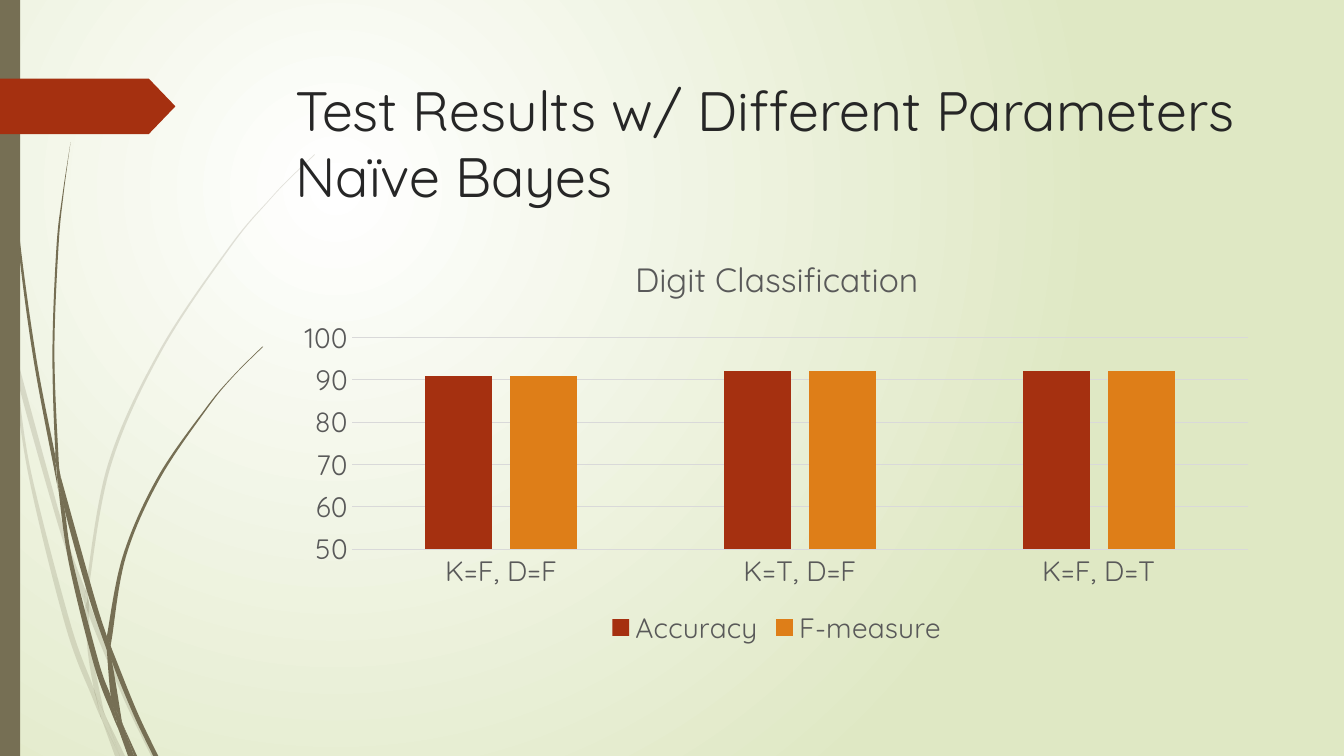
from lxml import etree
from pptx import Presentation
from pptx.chart.data import CategoryChartData
from pptx.dml.color import RGBColor
from pptx.enum.chart import XL_CHART_TYPE, XL_LEGEND_POSITION, XL_TICK_MARK
from pptx.enum.shapes import MSO_SHAPE
from pptx.enum.text import MSO_ANCHOR
from pptx.oxml.ns import qn
from pptx.util import Inches, Pt

COLUMNS = XL_CHART_TYPE.COLUMN_CLUSTERED
BOTTOM = XL_LEGEND_POSITION.BOTTOM
NO_TICK = XL_TICK_MARK.NONE
RECTANGLE, PENTAGON = MSO_SHAPE.RECTANGLE, MSO_SHAPE.PENTAGON
TOP = MSO_ANCHOR.TOP


class Theme:
    """Colours, font and type sizes of the slide."""
    font = "Quicksand"
    olive, rust, orange = "766F54", "A53010", "DE7E18"
    ink, grey, rule = "262626", "595959", "D9D9D9"
    glow, meadow = "FFFFFF", "DFE8C4"
    title, chart_title, label = 39.6, 24, 20


FAINT_BLADES = [
    ([(0.11, 3.5), (0.09, 3.22), (0, 2.82)], [(0, 2.99), (0.1, 3.44), (0.11, 3.5)]),
    ([(0.14, 3.45), (0.17, 3.76), (0.58, 5.22), (0.84, 5.99)],
     [(0.85, 5.86), (0.62, 5.2), (0.14, 3.45)]),
    ([(0.88, 5.96), (0.88, 6.1), (1.23, 6.94), (1.5, 7.5)],
     [(1.55, 7.5), (1.27, 6.92), (0.92, 6.07), (0.88, 5.96)]),
    ([(1.05, 7.11), (1.19, 7.5)], [(1.24, 7.5), (1.05, 7.11)]),
    ([(0.11, 3.5), (0.28, 4.7), (0.65, 6.21), (0.92, 6.93), (1.01, 7.14)],
     [(0.99, 7.07), (0.93, 6.83), (0.7, 6.19), (0.31, 4.69), (0.17, 3.76), (0.11, 3.5)]),
    ([(0.84, 5.99), (0.87, 6.46), (0.93, 6.83), (0.96, 6.92), (1.05, 7.11)],
     [(1.03, 7.06), (0.91, 6.46), (0.88, 6.1), (0.84, 5.99)]),
    ([(3.12, 1.53), (2.89, 1.75), (2.68, 1.97), (2.28, 2.44), (1.58, 3.48), (1.07, 4.61),
      (0.85, 5.84), (0.85, 5.86)],
     [(0.88, 5.96), (0.88, 5.84), (1.1, 4.62), (1.6, 3.49), (2.29, 2.45), (2.68, 1.98),
      (2.9, 1.75), (3.12, 1.54)]),
    ([(1.01, 7.14), (1.14, 7.5)], [(1.19, 7.5), (1.01, 7.14)]),
    ([(0.88, 6.1), (0.88, 5.96), (0.85, 5.86)], [(0.84, 5.99), (0.88, 6.08)]),
    ([(0.93, 6.83), (0.99, 7.07), (1.01, 7.14), (1.19, 7.5)],
     [(1.19, 7.5), (1.05, 7.11), (0.96, 6.92), (0.93, 6.83)]),
]
SOLID_BLADES = [
    ([(0.03, 0), (0.04, 0.48), (0.07, 1.1), (0.17, 2.33), (0.33, 3.55), (0.56, 4.77), (0.57, 4.81)],
     [(0.55, 4.57), (0.55, 4.53), (0.36, 3.55), (0.19, 2.32), (0.08, 1.09), (0.05, 0.48), (0.04, 0)]),
    ([(0.6, 4.72), (0.64, 5.05), (0.88, 5.92), (1.06, 6.45)],
     [(1.06, 6.31), (0.93, 5.9), (0.6, 4.72)]),
    ([(1.1, 6.41), (1.11, 6.56), (1.32, 7.08), (1.52, 7.5)],
     [(1.57, 7.5), (1.36, 7.06), (1.13, 6.49), (1.1, 6.41)]),
    ([(0.57, 4.77), (0.68, 5.57), (0.93, 6.59), (1.11, 7.08), (1.17, 7.22)],
     [(1.16, 7.17), (1.1, 6.91), (0.98, 6.57), (0.72, 5.56), (0.64, 5.05), (0.57, 4.77)]),
    ([(0.7, 1.41), (0.62, 1.93), (0.56, 2.45), (0.52, 3.49), (0.55, 4.49), (0.6, 4.72)],
     [(0.6, 4.72), (0.58, 4.53), (0.54, 3.49), (0.58, 2.45), (0.63, 1.93), (0.7, 1.41)]),
    ([(1.22, 7.19), (1.33, 7.5)], [(1.36, 7.5), (1.22, 7.19)]),
    ([(0.57, 4.77), (0.64, 5.05)], [(0.6, 4.72), (0.55, 4.49), (0.55, 4.53), (0.57, 4.77)]),
    ([(2.6, 3.44), (2.31, 3.73), (2.04, 4.05), (1.56, 4.74), (1.22, 5.51), (1.06, 6.31)],
     [(1.1, 6.41), (1.11, 6.33), (1.25, 5.52), (1.58, 4.76), (2.05, 4.06), (2.31, 3.74), (2.61, 3.44)]),
    ([(1.17, 7.22), (1.27, 7.5)], [(1.31, 7.5), (1.17, 7.22)]),
    ([(1.06, 6.45), (1.1, 6.91), (1.16, 7.06), (1.22, 7.19)],
     [(1.21, 7.16), (1.11, 6.56), (1.06, 6.45)]),
    ([(1.06, 6.45), (1.11, 6.56)], [(1.1, 6.41), (1.06, 6.31), (1.06, 6.45)]),
    ([(1.1, 6.91), (1.16, 7.17), (1.17, 7.22), (1.3, 7.5)],
     [(1.33, 7.5), (1.22, 7.19), (1.16, 7.06), (1.1, 6.91)]),
]


def curves(knots):
    """Yield the three Bezier points of each smooth step between knots."""
    padded = [knots[0], *knots, knots[-1]]
    for a, b, c, d in zip(padded, padded[1:], padded[2:], padded[3:]):
        yield (tuple(q + (r - p) / 6 for p, q, r in zip(a, b, c)),
               tuple(r - (s - q) / 6 for q, r, s in zip(b, c, d)), c)


class SlideBuilder:
    """Draws styled elements on the current slide."""

    def __init__(self, slide, theme):
        self.slide, self.theme = slide, theme

    def style_font(self, font, size, color):
        for name, value in {"name": self.theme.font, "size": Pt(size), "bold": False}.items():
            setattr(font, name, value)
        font.color.rgb = RGBColor.from_string(color)

    def paint(self, shape, color, opacity=100):
        shape.shadow.inherit = False
        shape.fill.solid()
        shape.fill.fore_color.rgb = RGBColor.from_string(color)
        shape.line.fill.background()
        if opacity < 100:
            tint = shape.element.spPr.find(".//" + qn("a:srgbClr"))
            etree.SubElement(tint, qn("a:alpha"), val=str(opacity * 1000))

    def background(self, center, edge):
        fill = self.slide.background.fill
        fill.gradient()
        for stop, color, position in zip(fill.gradient_stops, (center, edge), (0, 1)):
            stop.color.rgb = RGBColor.from_string(color)
            stop.position = position
        gradient = self.slide.element.find(".//" + qn("a:gradFill"))
        gradient.remove(gradient.find(qn("a:lin")))
        radial = etree.SubElement(gradient, qn("a:path"), path="circle")
        etree.SubElement(radial, qn("a:fillToRect"), l="50000", t="50000", r="100000", b="100000")

    def shape(self, kind, bounds, color):
        shape = self.slide.shapes.add_shape(kind, *map(Inches, bounds))
        self.paint(shape, color)
        return shape

    def blade(self, near_edge, far_edge, opacity):
        outline = [(Inches(x), Inches(y)) for x, y in near_edge + far_edge]
        builder = self.slide.shapes.build_freeform(*outline[0])
        builder.add_line_segments(outline[1:], close=True)
        shape = builder.convert_to_shape()
        self.paint(shape, self.theme.olive, opacity)
        lines = shape.element.findall(".//" + qn("a:lnTo"))
        bends = [*curves(near_edge), None, *curves(far_edge)]
        for line, bend in zip(lines, bends):
            if bend:
                curve = etree.Element(qn("a:cubicBezTo"))
                for x, y in bend:
                    etree.SubElement(curve, qn("a:pt"), x=str(Inches(x) - shape.left),
                                     y=str(Inches(y) - shape.top))
                line.getparent().replace(line, curve)

    def title(self, text, bounds):
        frame = self.slide.shapes.add_textbox(*map(Inches, bounds)).text_frame
        for name, value in {"word_wrap": True, "vertical_anchor": TOP,
                            "margin_top": Inches(0.07)}.items():
            setattr(frame, name, value)
        para = frame.paragraphs[0]
        para.text = text
        for span in para.runs:
            self.style_font(span.font, self.theme.title, self.theme.ink)

    def place(self, parent, **values):
        layout = parent.find(qn("c:layout"))
        if layout is None:
            layout = parent.makeelement(qn("c:layout"))
            parent.insert(1 if parent.find(qn("c:tx")) is not None else 0, layout)
        manual = etree.SubElement(layout, qn("c:manualLayout"))
        for tag, value in values.items():
            etree.SubElement(manual, qn("c:" + tag), val=str(value))

    def column_chart(self, heading, categories, series, bounds):
        theme, (width, height) = self.theme, bounds[2:]
        data = CategoryChartData()
        data.categories = categories
        for name, values, _ in series:
            data.add_series(name, values)
        chart = self.slide.shapes.add_chart(COLUMNS, *map(Inches, bounds), data).chart
        self.style_font(chart.font, theme.label, theme.grey)
        chart.has_title = True
        para = chart.chart_title.text_frame.paragraphs[0]
        para.text = heading
        self.style_font(para.runs[0].font, theme.chart_title, theme.grey)
        self.place(chart.chart_title._element, xMode="edge", yMode="edge",
                   x=3.41 / width, y=0.14 / height)
        plot = chart.plots[0]
        for name, value in {"gap_width": 219, "overlap": -27, "vary_by_categories": False}.items():
            setattr(plot, name, value)
        for column, (_, _, color) in zip(plot.series, series):
            column.format.fill.solid()
            column.format.fill.fore_color.rgb = RGBColor.from_string(color)
        self.place(chart._chartSpace.chart.plotArea, layoutTarget="inner", xMode="edge", yMode="edge",
                   x=0.66 / width, y=1.02 / height, w=8.89 / width, h=2.1 / height)
        scale = chart.value_axis
        for name, value in {"minimum_scale": 50, "maximum_scale": 100, "major_unit": 10,
                            "has_major_gridlines": True}.items():
            setattr(scale, name, value)
        scale.format.line.fill.background()
        for line in (scale.major_gridlines.format.line, chart.category_axis.format.line):
            line.color.rgb = RGBColor.from_string(theme.rule)
            line.width = Pt(0.75)
        for axis in (scale, chart.category_axis):
            axis.major_tick_mark = axis.minor_tick_mark = NO_TICK
            self.style_font(axis.tick_labels.font, theme.label, theme.grey)
        chart.has_legend = True
        chart.legend.position = BOTTOM
        chart.legend.include_in_layout = False
        self.style_font(chart.legend.font, theme.label, theme.grey)


def main():
    """Build the slide and save it."""
    deck = Presentation()
    deck.slide_width, deck.slide_height = Inches(13.33), Inches(7.5)
    theme = Theme()
    page = SlideBuilder(deck.slides.add_slide(deck.slide_layouts[6]), theme)
    page.background(theme.glow, theme.meadow)
    for blades, opacity in ((FAINT_BLADES, 20), (SOLID_BLADES, 100)):
        for near_edge, far_edge in blades:
            page.blade(near_edge, far_edge, opacity)
    page.shape(RECTANGLE, (0, 0, 0.2, 7.5), theme.olive)
    page.shape(PENTAGON, (0, 0.78, 1.74, 0.55), theme.rust).adjustments[0] = 0.48
    page.title("Test Results w/ Different Parameters\vNaïve Bayes", (2.83, 0.68, 9.75, 1.4))
    page.column_chart(
        "Digit Classification", ["K=F, D=F", "K=T, D=F", "K=F, D=T"],
        [("Accuracy", (91, 92, 92), theme.rust), ("F-measure", (91, 92, 92), theme.orange)],
        (2.83, 2.33, 9.75, 4.13))
    deck.save("out.pptx")


if __name__ == "__main__":
    main()
